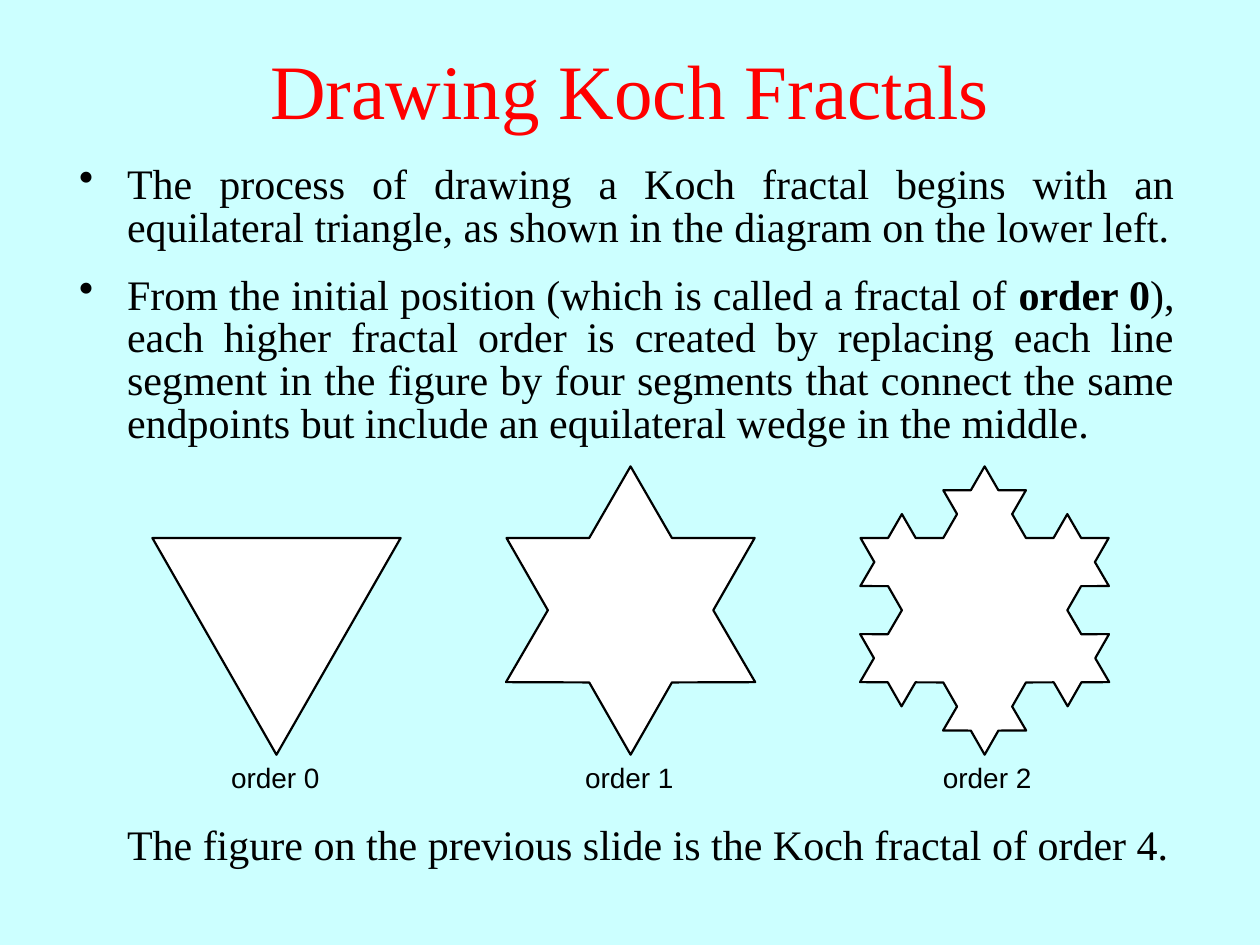
"""Build the slide on drawing Koch fractals of order 0, 1 and 2."""
import dataclasses
import math

import lxml.etree
import pptx
import pptx.dml.color
import pptx.enum.text
import pptx.oxml.ns
import pptx.util

Inches = pptx.util.Inches
Pt = pptx.util.Pt
Align = pptx.enum.text.PP_ALIGN
Anchor = pptx.enum.text.MSO_ANCHOR


@dataclasses.dataclass(frozen=True)
class Theme:
    background: str = "CCFFFF"
    heading: str = "FF0000"
    ink: str = "000000"
    paper: str = "FFFFFF"
    serif: str = "Times New Roman"
    sans: str = "Arial"
    title_size: int = 44
    body_size: int = 24
    label_size: int = 16
    outline: float = 1.25


THEME = Theme()

TITLE = "Drawing Koch Fractals"
BODY = [
    {"top": 1.26, "height": 0.82, "bullet": "•", "spans": [
        ("The process of drawing a Koch fractal begins with an equilateral triangle, "
         "as shown in the diagram on the lower left.", False)]},
    {"top": 2.14, "height": 1.61, "bullet": "•", "spans": [
        ("From the initial position (which is called a fractal of ", False),
        ("order 0", True),
        ("), each higher fractal order is created by replacing each line segment in the "
         "figure by four segments that connect the same endpoints but include an "
         "equilateral wedge in the middle.", False)]},
    {"top": 6.51, "height": 0.57, "bullet": None, "spans": [
        ("The figure on the previous slide is the Koch fractal of order 4.", False)]},
]
FRACTALS = [("order 0", 1.52), ("order 1", 4.33), ("order 2", 7.17)]

BODY_LEFT, BODY_WIDTH, INDENT = 0.53, 8.89, 0.38
FIRST_LEFT, FRACTAL_STEP, FRACTAL_TOP = 1.21, 2.81, 4.27
SIDE, TRIANGLE_HEIGHT = 1.97, 1.72
LABEL_TOP, LABEL_WIDTH, LABEL_HEIGHT = 5.99, 1.33, 0.37


def color(value):
    return pptx.dml.color.RGBColor.from_string(value)


def add_text(page, area, spans, align, face, size, ink=THEME.ink):
    box = page.shapes.add_textbox(*map(Inches, area))
    box.text_frame.word_wrap = True
    para = box.text_frame.paragraphs[0]
    para.alignment = align
    for text, bold in spans:
        span = para.add_run()
        span.text = text
        span.font.name, span.font.size, span.font.bold = face, Pt(size), bold
        span.font.color.rgb = color(ink)
    return box


def add_body(page, item):
    area = (BODY_LEFT, item["top"], BODY_WIDTH, item["height"])
    box = add_text(page, area, item["spans"], Align.JUSTIFY, THEME.serif, THEME.body_size)
    para = box.text_frame.paragraphs[0]
    para.line_spacing = 0.85
    para.space_after = Pt(15)
    properties = para._p.get_or_add_pPr()
    properties.set("marL", str(Inches(INDENT)))
    if item["bullet"]:
        properties.set("indent", str(-Inches(INDENT)))
        bullet = lxml.etree.SubElement(properties, pptx.oxml.ns.qn("a:buChar"))
        bullet.set("char", item["bullet"])


def koch_edge(start, end, order):
    if order == 0:
        return [start]
    (x, y), (end_x, end_y) = start, end
    dx, dy = (end_x - x) / 3, (end_y - y) / 3
    cosine, sine = math.cos(math.pi / 3), math.sin(math.pi / 3)
    peak = (x + dx + dx * cosine + dy * sine, y + dy - dx * sine + dy * cosine)
    stops = [start, (x + dx, y + dy), peak, (x + 2 * dx, y + 2 * dy), end]
    return [point for a, b in zip(stops, stops[1:]) for point in koch_edge(a, b, order - 1)]


def add_fractal(page, order):
    left = FIRST_LEFT + order * FRACTAL_STEP
    corners = [(left, FRACTAL_TOP), (left + SIDE, FRACTAL_TOP),
               (left + SIDE / 2, FRACTAL_TOP + TRIANGLE_HEIGHT)]
    edges = zip(corners, corners[1:] + corners[:1])
    points = [(Inches(x), Inches(y)) for a, b in edges for x, y in koch_edge(a, b, order)]
    builder = page.shapes.build_freeform(*points[0])
    builder.add_line_segments(points[1:], close=True)
    fractal = builder.convert_to_shape()
    fractal.shadow.inherit = False
    fractal.fill.solid()
    fractal.fill.fore_color.rgb = color(THEME.paper)
    fractal.line.color.rgb = color(THEME.ink)
    fractal.line.width = Pt(THEME.outline)


def main():
    deck = pptx.Presentation()
    deck.slide_width, deck.slide_height = Inches(10), Inches(7.5)
    page = deck.slides.add_slide(deck.slide_layouts[6])
    page.background.fill.solid()
    page.background.fill.fore_color.rgb = color(THEME.background)

    title = add_text(page, (0, 0.08, 10, 1.25), [(TITLE, False)], Align.CENTER,
                     THEME.serif, THEME.title_size, THEME.heading)
    title.text_frame.vertical_anchor = Anchor.MIDDLE
    for item in BODY:
        add_body(page, item)
    for order, (label, left) in enumerate(FRACTALS):
        add_fractal(page, order)
        area = (left, LABEL_TOP, LABEL_WIDTH, LABEL_HEIGHT)
        box = add_text(page, area, [(label, False)], Align.CENTER, THEME.sans, THEME.label_size)
        box.text_frame.auto_size = pptx.enum.text.MSO_AUTO_SIZE.SHAPE_TO_FIT_TEXT
    deck.save("out.pptx")


if __name__ == "__main__":
    main()
